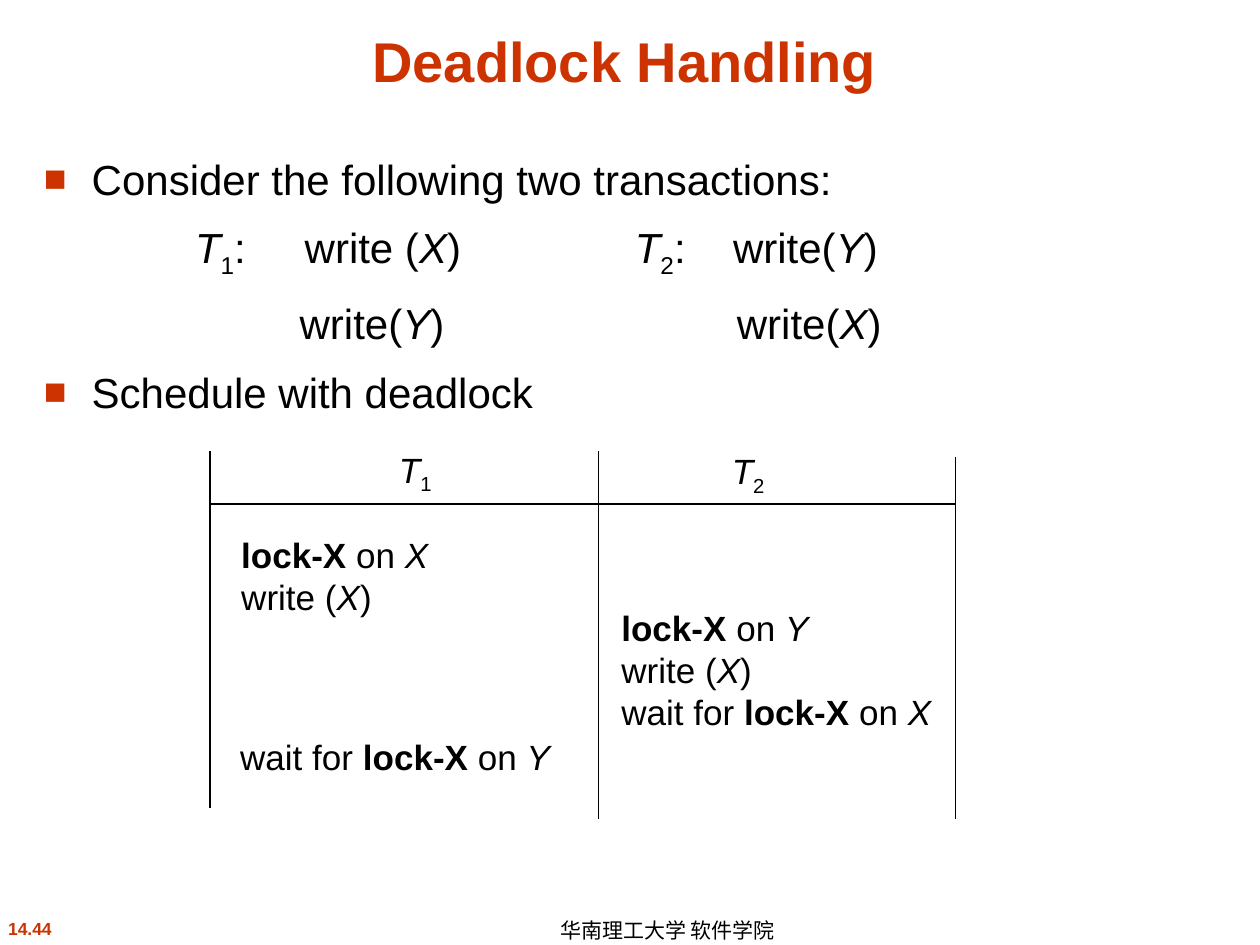
from dataclasses import dataclass

from lxml.etree import SubElement
from pptx import Presentation
from pptx.dml.color import RGBColor
from pptx.enum.shapes import MSO_CONNECTOR
from pptx.enum.text import MSO_ANCHOR, PP_ALIGN
from pptx.oxml.ns import qn
from pptx.util import Inches, Pt


@dataclass(frozen=True)
class Theme:
    font: str = "Arial"
    accent: RGBColor = RGBColor(0xCC, 0x33, 0x00)
    ink: RGBColor = RGBColor(0, 0, 0)
    title: int = 32
    body: int = 24
    schedule: int = 20
    footer: int = 12
    number: int = 10
    paragraph_gap: float = 10.5
    rule: float = 0.75
    bullet: str = "■"
    bullet_indent: float = 0.38


class Deck:
    GRID = 12

    def __init__(self, theme):
        self.theme = theme
        self.presentation = Presentation()
        self.presentation.slide_width = Inches(10)
        self.presentation.slide_height = Inches(7.5)
        self.slide = self.presentation.slides.add_slide(self.presentation.slide_layouts[6])

    def cells(self, *counts):
        return [Inches(count / self.GRID) for count in counts]

    def text(self, box, lines, size, color=None, bold=False, align=PP_ALIGN.LEFT,
             anchor=MSO_ANCHOR.TOP, wrap=False, spacing=None):
        frame = self.slide.shapes.add_textbox(*self.cells(*box)).text_frame
        frame.word_wrap = wrap
        frame.vertical_anchor = anchor
        for index, line in enumerate(lines):
            paragraph = frame.add_paragraph() if index else frame.paragraphs[0]
            paragraph.alignment = align
            paragraph.line_spacing = spacing
            self.fill(paragraph, line, size, color or self.theme.ink, bold)
        return frame

    def fill(self, paragraph, line, size, color, bold):
        for words, style in line:
            run = paragraph.add_run()
            run.text = words
            font = run.font
            font.name = self.theme.font
            font.size = Pt(size)
            font.color.rgb = color
            font.bold = bold or style == "bold"
            font.italic = style == "italic"
            if style == "sub":
                run._r.get_or_add_rPr().set("baseline", "-25000")

    def outline(self, box, items):
        frame = self.text(box, [line for line, _ in items], self.theme.body, wrap=True)
        for index, (paragraph, (_, stops)) in enumerate(zip(frame.paragraphs, items)):
            if index:
                paragraph.space_before = Pt(self.theme.paragraph_gap)
            if stops:
                self.tabs(paragraph, stops)
            else:
                self.bullet(paragraph)

    def bullet(self, paragraph):
        properties = paragraph._p.get_or_add_pPr()
        indent = Inches(self.theme.bullet_indent)
        properties.set("marL", str(indent))
        properties.set("indent", str(-indent))
        color = SubElement(properties, qn("a:buClr"))
        SubElement(color, qn("a:srgbClr"), val=str(self.theme.accent))
        SubElement(properties, qn("a:buSzPct"), val="90000")
        SubElement(properties, qn("a:buFont"), typeface=self.theme.font)
        SubElement(properties, qn("a:buChar"), char=self.theme.bullet)

    def tabs(self, paragraph, stops):
        tab_list = SubElement(paragraph._p.get_or_add_pPr(), qn("a:tabLst"))
        for stop in stops:
            SubElement(tab_list, qn("a:tab"), pos=str(Inches(stop)), algn="l")

    def line(self, *ends):
        rule = self.slide.shapes.add_connector(MSO_CONNECTOR.STRAIGHT, *self.cells(*ends))
        rule.line.color.rgb = self.theme.ink
        rule.line.width = Pt(self.theme.rule)
        SubElement(rule._element.spPr, qn("a:effectLst"))


def plain(words):
    return [(words, "plain")]


def transaction(number):
    return [("T", "italic"), (number, "sub")]


def write(item, call="write ("):
    return [(call, "plain"), (item, "italic"), (")", "plain")]


def lock(item):
    return [("lock-X", "bold"), (" on ", "plain"), (item, "italic")]


def wait(item):
    return plain("wait for ") + lock(item)


def main():
    theme = Theme()
    deck = Deck(theme)

    deck.text((-3.5, 86.8, 12.7, 3.2), [plain("14.44")], theme.number, theme.accent,
              bold=True, align=PP_ALIGN.CENTER)
    deck.text((48.1, 87, 26.9, 3), [plain("华南理工大学 软件学院")], theme.footer,
              align=PP_ALIGN.RIGHT, anchor=MSO_ANCHOR.MIDDLE, spacing=1.1)
    deck.text((3, 1.5, 113, 8), [plain("Deadlock Handling")], theme.title, theme.accent,
              bold=True, align=PP_ALIGN.CENTER, anchor=MSO_ANCHOR.BOTTOM, wrap=True)

    first_writes = (plain("\t") + transaction("1") + plain(":\t") + write("X")
                    + plain("\t") + transaction("2") + plain(":\t") + write("Y", "write("))
    second_writes = write("Y", "\twrite(") + write("X", "\twrite(")
    deck.outline((3, 14, 113, 27.4), [
        (plain("Consider the following two transactions:"), ()),
        (first_writes, (1.2, 2.07, 4.69, 5.47)),
        (second_writes, (2.03, 5.5)),
        (plain("Schedule with deadlock"), ()),
    ])

    left, middle, right, header = 20, 57, 91, 48
    deck.line(left, header, right, header)
    for column, top, bottom in ((left, 43, 77), (middle, 43, 78), (right, 43.5, 78)):
        deck.line(column, top, column, bottom)

    for box, number in (((36.8, 42.1, 5.5, 5.8), "1"), ((68.5, 42.2, 5.5, 5.8), "2")):
        deck.text(box, [transaction(number)], theme.schedule, align=PP_ALIGN.RIGHT)
    for box, steps in (
        ((21.8, 50.2, 20.2, 9.2), [lock("X"), write("X")]),
        ((58, 57.2, 31.9, 13.2), [lock("Y"), write("X"), wait("X")]),
        ((21.7, 69.5, 31.9, 5.3), [wait("Y")]),
    ):
        deck.text(box, steps, theme.schedule)

    deck.presentation.save("out.pptx")


if __name__ == "__main__":
    main()
